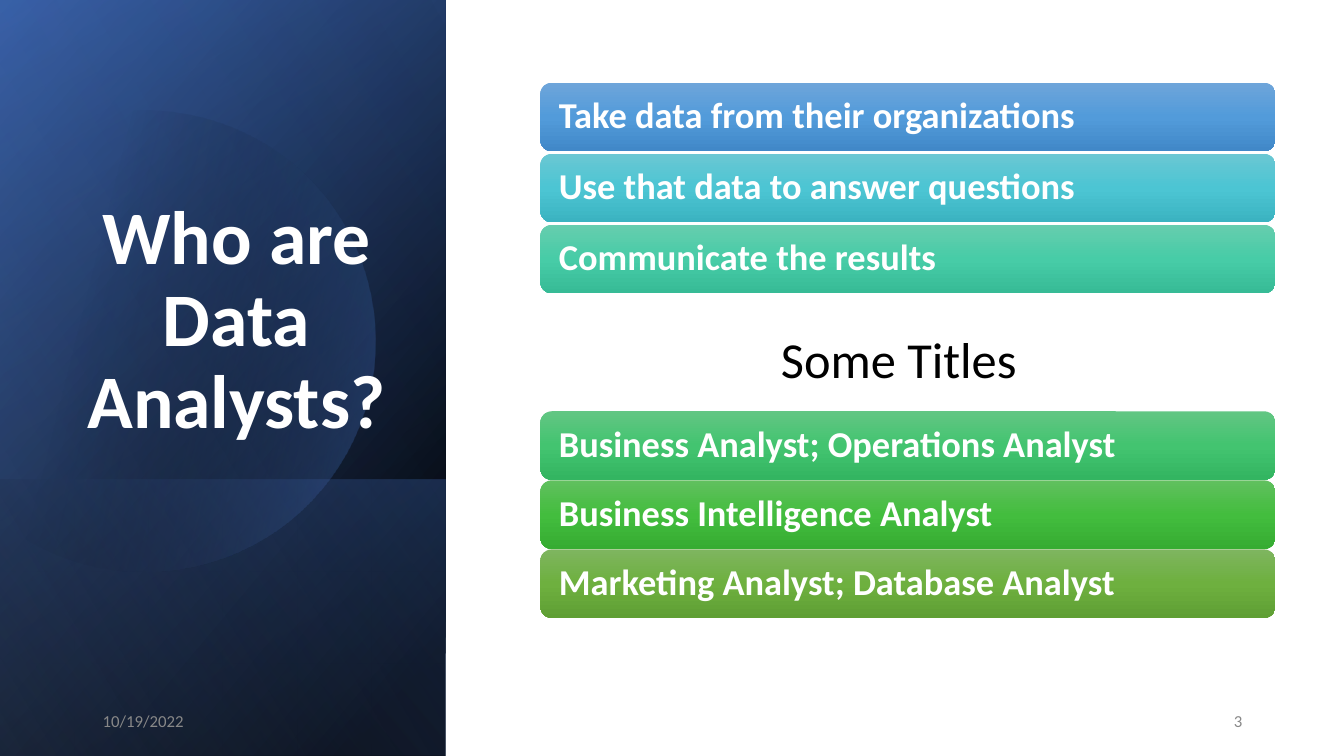
"""Build the "Who are Data Analysts?" slide with a dark panel and two groups of bars."""
from dataclasses import dataclass

from lxml import etree
from pptx import Presentation
from pptx.dml.color import RGBColor
from pptx.enum.shapes import MSO_SHAPE
from pptx.enum.text import MSO_ANCHOR, MSO_AUTO_SIZE, PP_ALIGN
from pptx.oxml.ns import qn
from pptx.util import Inches, Pt

RECTANGLE, ROUNDED = MSO_SHAPE.RECTANGLE, MSO_SHAPE.ROUNDED_RECTANGLE
TOP, MIDDLE, BOTTOM = MSO_ANCHOR.TOP, MSO_ANCHOR.MIDDLE, MSO_ANCHOR.BOTTOM
LEFT, CENTER, RIGHT = PP_ALIGN.LEFT, PP_ALIGN.CENTER, PP_ALIGN.RIGHT
NO_AUTOFIT = MSO_AUTO_SIZE.NONE


@dataclass(frozen=True)
class Theme:
    font: str = "Calibri"
    white: str = "FFFFFF"
    black: str = "000000"
    gray: str = "888888"
    navy: str = "2F5496"
    blue: str = "4472C4"
    pale_blue: str = "8DA9DB"
    title_size: int = 54
    heading_size: int = 36
    bar_size: int = 26
    footer_size: int = 12
    bars: tuple = (
        ("6EA5DA", "529BDA", "4188C8"),
        ("6AC7D3", "4CC5D3", "3BB3C1"),
        ("66CDAE", "47CCA7", "37BB96"),
        ("62C683", "43C470", "33B561"),
        ("61C05F", "43BD3E", "36AC32"),
        ("7EB55F", "6EB03F", "5F9F34"),
    )


theme = Theme()


def paint(shape, stops, angle):
    shape.shadow.inherit = False
    shape.line.fill.background()
    shape.fill.gradient()
    gradient = shape._element.spPr.find(qn("a:gradFill"))
    stop_list = gradient.find(qn("a:gsLst"))
    for default_stop in list(stop_list):
        stop_list.remove(default_stop)
    for position, color, opacity in stops:
        stop = etree.SubElement(stop_list, qn("a:gs"), pos=str(position * 1000))
        tint = etree.SubElement(stop, qn("a:srgbClr"), val=color)
        if opacity < 100:
            etree.SubElement(tint, qn("a:alpha"), val=str(opacity * 1000))
    gradient.find(qn("a:lin")).set("ang", str(angle * 60000))


def write(shape, text, size, color, align=LEFT, anchor=MIDDLE, bold=False, spacing=1.0, inset=0.1):
    frame = shape.text_frame
    frame.word_wrap = True
    frame.auto_size = NO_AUTOFIT
    frame.vertical_anchor = anchor
    frame.margin_left = frame.margin_right = Inches(inset)
    frame.margin_top = frame.margin_bottom = Inches(0.05)
    paragraph = frame.paragraphs[0]
    paragraph.alignment = align
    paragraph.line_spacing = spacing
    run = paragraph.add_run()
    run.text = text
    run.font.name = theme.font
    run.font.size = Pt(size)
    run.font.bold = bold
    run.font.color.rgb = RGBColor.from_string(color)


presentation = Presentation()
presentation.slide_width, presentation.slide_height = Inches(13.33), Inches(7.5)
slide = presentation.slides.add_slide(presentation.slide_layouts[5])
shapes = slide.shapes

full_panel = (-1.54, 1.54, 7.5, 4.42)
lower_panel = (0.84, 3.92, 2.74, 4.42)
panel_layers = [
    (full_panel, [(0, theme.black, 100), (8, theme.black, 100), (100, theme.navy, 100)], 50),
    (full_panel, [(0, theme.black, 0), (99, theme.blue, 46), (100, theme.blue, 46)], 30),
    (lower_panel, [(0, theme.blue, 29), (2, theme.blue, 29), (100, theme.black, 30)], 130),
    (full_panel, [(0, theme.black, 0), (99, theme.pale_blue, 11), (100, theme.pale_blue, 11)], 120),
]
panels = []
for box, stops, angle in panel_layers:
    panel = shapes.add_shape(RECTANGLE, *map(Inches, box))
    panel.rotation = 90
    panel._element.spPr.find(qn("a:xfrm")).set("flipH", "1")
    paint(panel, stops, angle)
    panels.append(panel)

circle_start = (1.49, 1.1)
right_arcs = [
    ((2.46, 1.12), (3.35, 1.77), (3.63, 2.75)),
    ((3.98, 3.97), (3.28, 5.23), (2.07, 5.58)),
    ((1.31, 5.8), (0.53, 5.61), (-0.03, 5.14)),
]
left_edge = [(-0.15, 5.03), (-0.15, 1.75), (0, 1.61)]
top_arcs = [
    ((0.23, 1.42), (0.5, 1.28), (0.8, 1.19)),
    ((1.03, 1.13), (1.26, 1.1), circle_start),
]
outline = [circle_start]
for arcs, straight_points in ((right_arcs, left_edge), (top_arcs, [])):
    for arc in arcs:
        controls = (outline[-1], *arc)
        for step in range(1, 25):
            t = step / 24
            weights = ((1 - t) ** 3, 3 * t * (1 - t) ** 2, 3 * t**2 * (1 - t), t**3)
            outline.append(tuple(
                sum(weight * point[axis] for weight, point in zip(weights, controls))
                for axis in (0, 1)
            ))
    outline += straight_points

circle_builder = shapes.build_freeform(Inches(outline[0][0]), Inches(outline[0][1]))
circle_builder.add_line_segments([(Inches(x), Inches(y)) for x, y in outline[1:]], close=True)
circle = circle_builder.convert_to_shape()
paint(circle, [(0, theme.black, 0), (29, theme.black, 0), (100, theme.blue, 43)], 14)
panels[-1]._element.addprevious(circle._element)

title = shapes.title
title.left, title.top, title.width, title.height = map(Inches, (0.64, 1.84, 3.41, 2.62))
write(title, "Who are Data Analysts?", theme.title_size, theme.white, CENTER, BOTTOM, True, 0.9)
panels[-1]._element.addnext(title._element)

bar_groups = [
    (0.82, 0.705, theme.bars[:3], (
        "Take data from their organizations",
        "Use that data to answer questions",
        "Communicate the results",
    )),
    (4.08, 0.685, theme.bars[3:], (
        "Business Analyst; Operations Analyst",
        "Business Intelligence Analyst",
        "Marketing Analyst; Database Analyst",
    )),
]
for group_top, pitch, palette, labels in bar_groups:
    for row, (label, colors) in enumerate(zip(labels, palette)):
        bar = shapes.add_shape(
            ROUNDED, Inches(5.36), Inches(group_top + row * pitch), Inches(7.29), Inches(0.68)
        )
        paint(bar, [(place, color, 100) for place, color in zip((0, 50, 100), colors)], 90)
        write(bar, label, theme.bar_size, theme.white, bold=True, spacing=0.9, inset=0.15)

captions = [
    ((7.33, 3.21, 3.17, 0.71), "Some Titles", theme.heading_size, theme.black, CENTER, TOP),
    ((0.92, 6.95, 3, 0.4), "10/19/2022", theme.footer_size, theme.gray, LEFT, MIDDLE),
    ((9.42, 6.95, 3, 0.4), "3", theme.footer_size, theme.gray, RIGHT, MIDDLE),
]
for box, text, size, color, align, anchor in captions:
    caption = shapes.add_textbox(*map(Inches, box))
    write(caption, text, size, color, align, anchor)

presentation.save("out.pptx")
